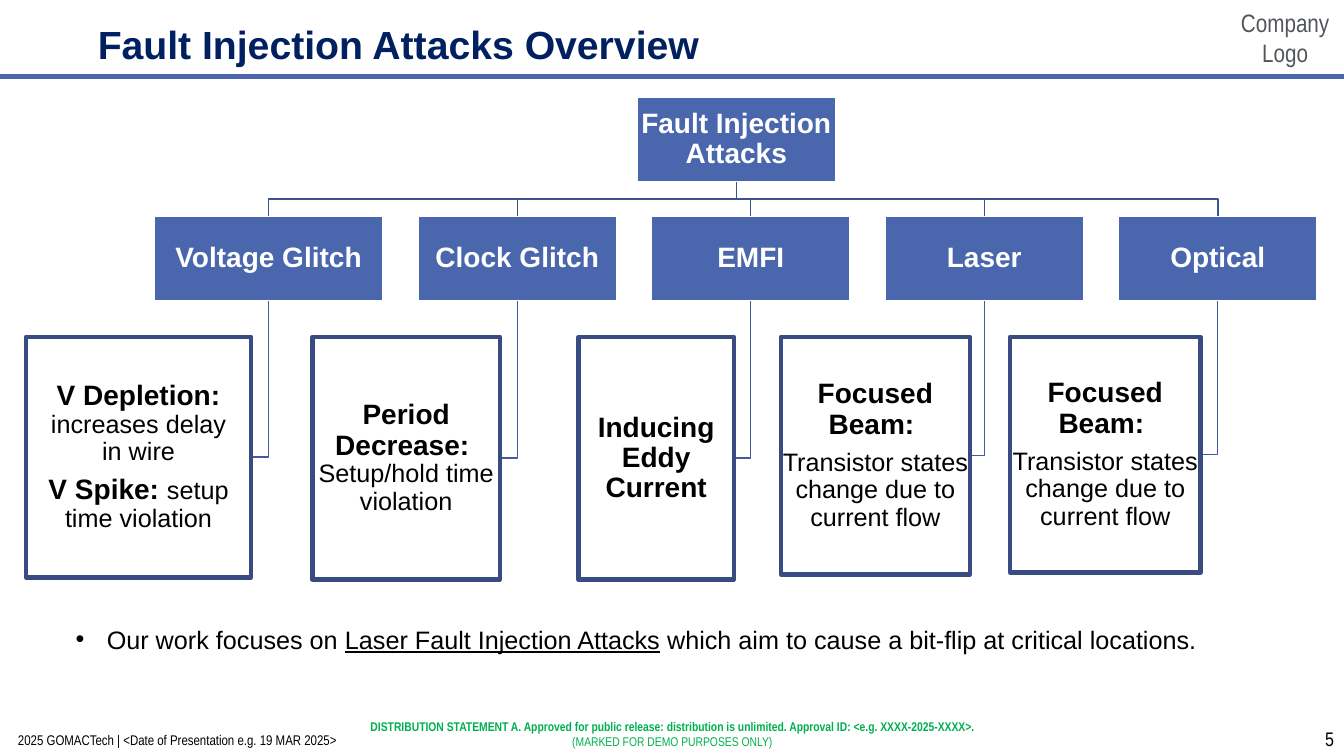
from dataclasses import dataclass

from lxml.etree import SubElement
from pptx import Presentation
from pptx.dml.color import RGBColor
from pptx.enum.shapes import MSO_CONNECTOR as Connector, MSO_SHAPE as Preset
from pptx.enum.text import MSO_ANCHOR as Anchor, MSO_AUTO_SIZE as AutoSize, PP_ALIGN as Align
from pptx.oxml.ns import qn
from pptx.util import Emu, Inches, Pt

# Grid: 40 columns by 22.5 rows, each a third of an inch
CELL = Inches(1) / 3
COLUMNS, ROWS = 40, 22.5


@dataclass(frozen=True)
class Theme:
    font: str = "Arial"
    narrow: str = "Arial Narrow"
    title: str = "002060"
    text: str = "000000"
    white: str = "FFFFFF"
    accent: str = "4A66AC"
    branch: str = "3B528A"
    drop: str = "435D9C"
    border: str = "384C81"
    logo: str = "53575C"
    notice: str = "00B050"
    title_size: float = 28
    heading_size: float = 20
    body_size: float = 18
    number_size: float = 14
    footer_size: float = 10
    notice_size: float = 9
    thin: float = 1
    thick: float = 3


THEME = Theme()


@dataclass(frozen=True)
class Box:
    left: float
    top: float
    width: float
    height: float

    @property
    def center(self) -> float:
        return self.left + self.width / 2

    @property
    def middle(self) -> float:
        return self.top + self.height / 2

    @property
    def right(self) -> float:
        return self.left + self.width

    @property
    def bottom(self) -> float:
        return self.top + self.height


@dataclass(frozen=True)
class Span:
    text: str
    bold: bool = False
    underline: bool = False


@dataclass(frozen=True)
class Attack:
    name: str
    width: float
    effect: Box
    paragraphs: list[list[Span]]


@dataclass(frozen=True)
class Label:
    box: Box
    lines: list[Span]
    size: float
    color: str
    align: Align
    anchor: Anchor = Anchor.TOP


# Content
EFFECT_TOP = 10.02
FOCUSED_BEAM = [[Span("Focused Beam: ", True)],
                [Span("Transistor states change due to current flow")]]
ATTACKS = [
    Attack("Voltage Glitch", 6.81, Box(0.78, EFFECT_TOP, 6.69, 7.17),
           [[Span("V Depletion: ", True), Span("increases delay\vin wire")],
            [Span("V Spike: ", True), Span("setup time violation")]]),
    Attack("Clock Glitch", 5.91, Box(9.3, EFFECT_TOP, 5.58, 7.23),
           [[Span("Period Decrease: \v", True), Span("Setup/hold time violation")]]),
    Attack("EMFI", 5.91, Box(17.22, EFFECT_TOP, 4.62, 7.23),
           [[Span("Inducing Eddy Current", True)]]),
    Attack("Laser", 5.91, Box(23.25, EFFECT_TOP, 5.61, 7.08), FOCUSED_BEAM),
    Attack("Optical", 5.91, Box(30.06, EFFECT_TOP, 5.67, 7.02), FOCUSED_BEAM),
]
ROOT = Box(18.96, 2.91, 5.91, 2.49)
NODE_LEFT, NODE_TOP, NODE_HEIGHT, NODE_GAP = 4.59, 6.45, 2.5, 1.04
LABELS = [
    Label(Box(7.41, 21.24, 25.2, 1.2),
          [Span("DISTRIBUTION STATEMENT A. Approved for public release: distribution is "
                "unlimited. Approval ID: <e.g. XXXX-2025-XXXX>.", True),
           Span("(MARKED FOR DEMO PURPOSES ONLY)")],
          THEME.notice_size, THEME.notice, Align.CENTER),
    Label(Box(32, 21.48, 8, 1.02), [Span("5")],
          THEME.number_size, THEME.text, Align.RIGHT, Anchor.MIDDLE),
    Label(Box(36.51, 0.06, 3.48, 2.13), [Span("Company"), Span("Logo")],
          THEME.body_size, THEME.logo, Align.CENTER),
    Label(Box(0.24, 21.63, 11, 0.81),
          [Span("2025 GOMACTech | <Date of Presentation e.g. 19 MAR 2025>")],
          THEME.footer_size, THEME.text, Align.LEFT),
]


def grid(cells: float) -> Emu:
    return Emu(round(cells * CELL))


def frame(box: Box) -> tuple[Emu, Emu, Emu, Emu]:
    return grid(box.left), grid(box.top), grid(box.width), grid(box.height)


def place(shape, box: Box) -> None:
    shape.left, shape.top, shape.width, shape.height = frame(box)


def style_font(font, size: float, color: str, bold: bool = False, name: str = THEME.font) -> None:
    font.name, font.size, font.bold = name, Pt(size), bold
    font.color.rgb = RGBColor.from_string(color)


def style_line(shape, color: str, width: float) -> None:
    shape.line.color.rgb = RGBColor.from_string(color)
    shape.line.width = Pt(width)


def set_insets(text_frame, inset: float) -> None:
    text_frame.margin_left = text_frame.margin_right = Inches(inset)
    text_frame.margin_top = text_frame.margin_bottom = Inches(inset)


def add_spans(paragraph, spans: list[Span]) -> None:
    for span in spans:
        for index, piece in enumerate(span.text.split("\v")):
            if index:
                paragraph.add_line_break()
            if piece:
                run = paragraph.add_run()
                run.text = piece
                if len(spans) > 1 and span.bold:
                    run.font.bold, run.font.size = True, Pt(THEME.heading_size)
                if span.underline:
                    run.font.underline = True


def add_paragraph(text_frame, index: int):
    return text_frame.add_paragraph() if index else text_frame.paragraphs[0]


def add_block(slide, box: Box, paragraphs: list[list[Span]], filled: bool) -> None:
    shape = slide.shapes.add_shape(Preset.RECTANGLE, *frame(box))
    shape.shadow.inherit = False
    if filled:
        shape.fill.solid()
        shape.fill.fore_color.rgb = RGBColor.from_string(THEME.accent)
        style_line(shape, THEME.white, THEME.thin)
    else:
        shape.fill.background()
        style_line(shape, THEME.border, THEME.thick)
    text_frame = shape.text_frame
    text_frame.word_wrap, text_frame.vertical_anchor = True, Anchor.MIDDLE
    set_insets(text_frame, 0.01)
    for index, spans in enumerate(paragraphs):
        paragraph = add_paragraph(text_frame, index)
        paragraph.alignment, paragraph.line_spacing = Align.CENTER, 0.9
        paragraph.space_after = Pt(7)
        bold = all(span.bold for span in spans)
        style_font(paragraph.font, THEME.heading_size if bold else THEME.body_size,
                   THEME.white if filled else THEME.text, bold)
        add_spans(paragraph, spans)


def add_elbow(slide, points: list[tuple[float, float]], color: str) -> None:
    start, *rest = [(grid(x), grid(y)) for x, y in points]
    builder = slide.shapes.build_freeform(*start)
    builder.add_line_segments(rest, close=False)
    shape = builder.convert_to_shape()
    shape.shadow.inherit = False
    shape.fill.background()
    style_line(shape, color, THEME.thin)


def add_label(slide, label: Label) -> None:
    text_frame = slide.shapes.add_textbox(*frame(label.box)).text_frame
    text_frame.word_wrap, text_frame.vertical_anchor = True, label.anchor
    for index, line in enumerate(label.lines):
        paragraph = add_paragraph(text_frame, index)
        paragraph.alignment = label.align
        style_font(paragraph.font, label.size, label.color, line.bold, THEME.narrow)
        add_spans(paragraph, [line])


def add_title(slide, text: str) -> None:
    title = slide.shapes.title
    place(title, Box(2.49, 0.48, 28.86, 1.95))
    text_frame = title.text_frame
    text_frame.auto_size, text_frame.vertical_anchor = AutoSize.NONE, Anchor.BOTTOM
    set_insets(text_frame, 0.14)
    paragraph = text_frame.paragraphs[0]
    paragraph.text, paragraph.alignment = text, Align.LEFT
    style_font(paragraph.font, THEME.title_size, THEME.title, True)


def add_takeaway(slide, spans: list[Span]) -> None:
    body = slide.placeholders[1]
    place(body, Box(1.95, 18.42, 34.5, 1.2))
    body.text_frame.auto_size = AutoSize.NONE
    paragraph = body.text_frame.paragraphs[0]
    paragraph.space_before = Pt(0)
    properties = paragraph._p.get_or_add_pPr()
    properties.set("marL", str(Inches(0.31)))
    properties.set("indent", str(-Inches(0.31)))
    SubElement(properties, qn("a:buFont"), typeface=THEME.font)
    SubElement(properties, qn("a:buChar"), char="•")
    style_font(paragraph.font, THEME.body_size, THEME.text)
    add_spans(paragraph, spans)


def add_attack_tree(slide) -> None:
    nodes, left = [], NODE_LEFT
    for attack in ATTACKS:
        nodes.append(Box(left, NODE_TOP, attack.width, NODE_HEIGHT))
        left += attack.width + NODE_GAP
    bus = (ROOT.bottom + NODE_TOP) / 2
    # Connecting lines lie behind the boxes
    for attack, node in zip(ATTACKS, nodes):
        add_elbow(slide, [(node.center, node.bottom), (node.center, attack.effect.middle),
                          (attack.effect.right, attack.effect.middle)], THEME.drop)
        add_elbow(slide, [(ROOT.center, ROOT.bottom), (ROOT.center, bus),
                          (node.center, bus), (node.center, node.top)], THEME.branch)
    add_block(slide, ROOT, [[Span("Fault Injection Attacks", True)]], True)
    for attack, node in zip(ATTACKS, nodes):
        add_block(slide, node, [[Span(attack.name, True)]], True)
        add_block(slide, attack.effect, attack.paragraphs, False)


def main() -> None:
    presentation = Presentation()
    presentation.slide_width, presentation.slide_height = grid(COLUMNS), grid(ROWS)
    slide = presentation.slides.add_slide(presentation.slide_layouts[1])
    # Header rule, footer and corner labels
    rule = slide.shapes.add_connector(Connector.STRAIGHT, 0, grid(2.28), grid(COLUMNS), grid(2.28))
    style_line(rule, THEME.accent, THEME.thick)
    SubElement(rule._element.spPr, qn("a:effectLst"))
    for label in LABELS:
        add_label(slide, label)
    # Title, diagram and takeaway
    add_title(slide, "Fault Injection Attacks Overview")
    add_attack_tree(slide)
    add_takeaway(slide, [Span("Our work focuses on "),
                         Span("Laser Fault Injection Attacks", underline=True),
                         Span(" which aim to cause a bit-flip at critical locations.")])
    presentation.save("out.pptx")


if __name__ == "__main__":
    main()
